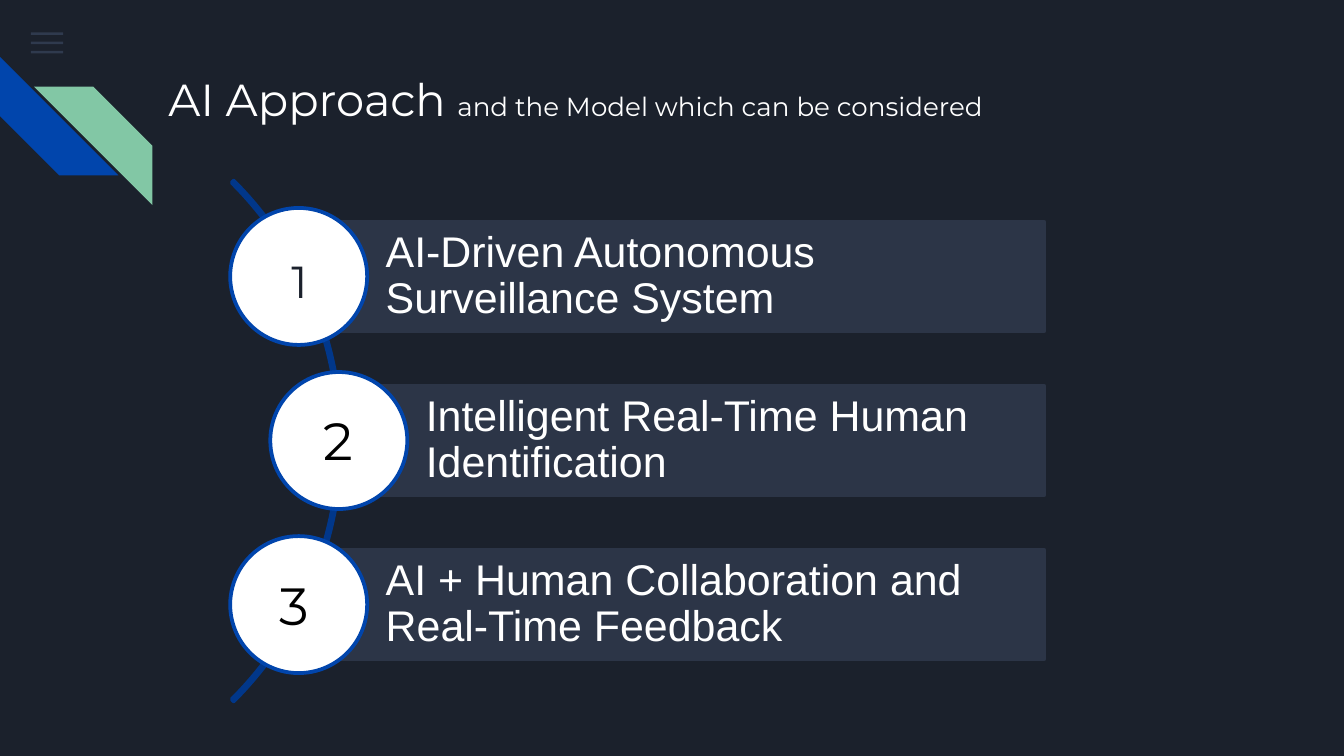
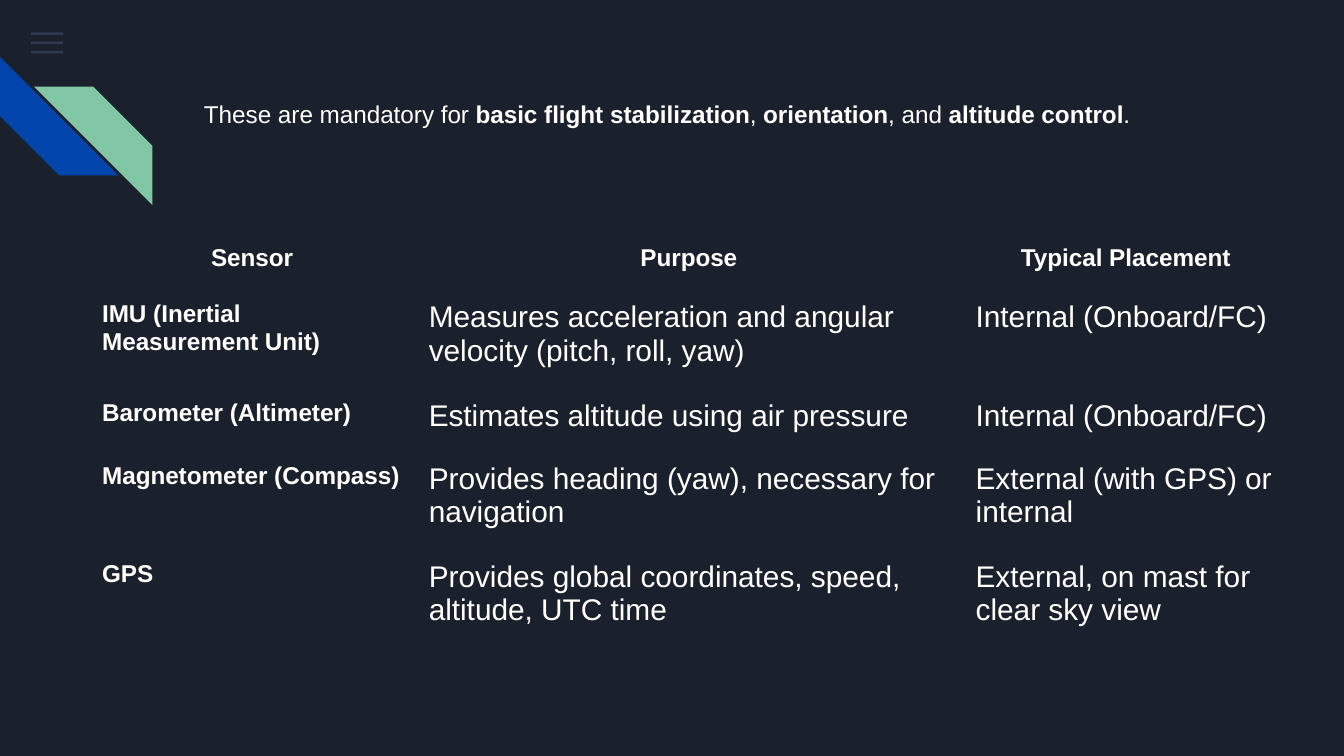
from pptx import Presentation
from pptx.util import Pt
from pptx.dml.color import RGBColor
from pptx.enum.shapes import MSO_SHAPE
from pptx.enum.text import MSO_ANCHOR, MSO_AUTO_SIZE, PP_ALIGN
from pptx.oxml.ns import qn
from lxml.etree import SubElement

# Content
TITLE = [("AI Approach ", 24), ("and the Model which can be considered", 14)]
STEPS = [  # text, bar left, number left, top and size
    ("AI-Driven Autonomous Surveillance System", 160, (149, 132.5, 24, "ink")),
    ("Intelligent Real-Time Human Identification", 181.5, (166.3, 215.3, 28, "black")),
    ("AI + Human Collaboration and Real-Time Feedback", 160, (142.5, 303.8, 28, "black")),
]
INTRO = [  # text, bold
    ("These are mandatory for ", False), ("basic flight stabilization", True),
    (", ", False), ("orientation", True), (", and ", False),
    ("altitude control", True), (".", False),
]
ROWS = [
    ("Sensor", "Purpose", "Typical Placement"),
    ("IMU (Inertial Measurement Unit)",
     "Measures acceleration and angular velocity (pitch, roll, yaw)",
     "Internal (Onboard/FC)"),
    ("Barometer (Altimeter)", "Estimates altitude using air pressure",
     "Internal (Onboard/FC)"),
    ("Magnetometer (Compass)", "Provides heading (yaw), necessary for navigation",
     "External (with GPS) or internal"),
    ("GPS", "Provides global coordinates, speed, altitude, UTC time",
     "External, on mast for clear sky view"),
]
WIDTHS = [175, 293, 175]

# Shared style
COLORS = {"ink": "1B212C", "white": "FFFFFF", "black": "000000", "menu": "55688B",
          "blue": "0145AC", "green": "82C7A5", "arc": "01378A", "bar": "2C3547"}
HEAD, BODY = "Montserrat", "Arial"
NO_GRID = "{2D5ABB26-0587-4C30-8999-92F81FD0307C}"


def color(name):
    return RGBColor.from_string(COLORS[name])


def style(font, size, name=BODY, hue="white", bold=False):
    font.size, font.name, font.bold = Pt(size), name, bold
    font.color.rgb = color(hue)


def inset(frame, left, other):
    frame.margin_left = Pt(left)
    frame.margin_top = frame.margin_right = frame.margin_bottom = Pt(other)


def draw(slide, kind, box, fill=None, line=None):
    shape = slide.shapes.add_shape(kind, *map(Pt, box))
    shape.shadow.inherit = False
    if fill:
        shape.fill.solid()
        shape.fill.fore_color.rgb = color(fill)
    else:
        shape.fill.background()
    if line:
        shape.line.color.rgb = color(line)
        shape.line.width = Pt(2)
    else:
        shape.line.fill.background()
    return shape


def new_slide(deck, layout):
    slide = deck.slides.add_slide(deck.slide_layouts[layout])
    # Menu icon
    for i in range(3):
        rule = draw(slide, MSO_SHAPE.RECTANGLE, (16.6, 17.3 + 5 * i, 17.3, 1.4), "menu")
        tint = rule.fill._xPr.find(".//" + qn("a:srgbClr"))
        SubElement(tint, qn("a:alpha"), val="36000")
    # Corner stripes
    for left, top, turn, fill in [(0, 30.4, 270, "blue"), (18.2, 46.4, 90, "green")]:
        stripe = draw(slide, MSO_SHAPE.DIAGONAL_STRIPE, (left, top, 63.5, 63.5), fill)
        stripe.rotation = turn
    return slide


def add_steps(deck):
    slide = new_slide(deck, 5)
    # Title
    title = slide.shapes.title
    title.left, title.top, title.width, title.height = map(Pt, (83, 31, 554, 72))
    frame = title.text_frame
    frame.auto_size, frame.vertical_anchor = MSO_AUTO_SIZE.NONE, MSO_ANCHOR.TOP
    inset(frame, 7.2, 7.2)
    para = frame.paragraphs[0]
    para.alignment = PP_ALIGN.LEFT
    for text, size in TITLE:
        run = para.add_run()
        run.text = text
        style(run.font, size, HEAD)

    # Arc behind the steps
    arc = draw(slide, MSO_SHAPE.BLOCK_ARC, (-211.5, 39, 394.5, 394.5), line="arc")
    for i, value in enumerate((189, 27, 0.004)):
        arc.adjustments[i] = value

    # Bars, each with a disc centred on its left side
    tall, disc, right = 58.6, 73.4, 559.5
    for i, (text, left, _) in enumerate(STEPS):
        top = 118.8 + 87.9 * i
        bar = draw(slide, MSO_SHAPE.RECTANGLE, (left, top, right - left, tall), "bar", "bar")
        frame = bar.text_frame
        frame.word_wrap, frame.vertical_anchor = True, MSO_ANCHOR.MIDDLE
        inset(frame, 46.6, 4.3)
        para = frame.paragraphs[0]
        para.text, para.alignment, para.line_spacing = text, PP_ALIGN.LEFT, 0.9
        style(para.font, 23)
        draw(slide, MSO_SHAPE.OVAL,
             (left - disc / 2, top + (tall - disc) / 2, disc, disc), "white", "blue")

    # Numbers
    for i, (_, _, (left, top, size, hue)) in enumerate(STEPS, 1):
        box = slide.shapes.add_textbox(Pt(left), Pt(top), Pt(35.3), Pt(size * 1.22 + 7.2))
        box.text_frame.word_wrap = True
        para = box.text_frame.paragraphs[0]
        para.text = str(i)
        style(para.font, size, HEAD, hue)


def add_sensors(deck):
    slide = new_slide(deck, 6)
    # Sensor table, whose rows grow to fit their text
    table = slide.shapes.add_table(len(ROWS), len(WIDTHS), Pt(47.5), Pt(121.7),
                                   Pt(sum(WIDTHS)), Pt(0)).table
    table.horz_banding = False
    table._tbl.tblPr.find(qn("a:tableStyleId")).text = NO_GRID
    for col, width in zip(table.columns, WIDTHS):
        col.width = Pt(width)
    for r, row in enumerate(ROWS):
        for c, text in enumerate(row):
            cell = table.cell(r, c)
            cell.fill.solid()
            cell.fill.fore_color.rgb = color("ink")
            inset(cell, 7.2, 7.2)
            para = cell.text_frame.paragraphs[0]
            para.text = text
            strong = r == 0 or c == 0
            style(para.font, 13 if strong else 16, bold=strong)
            if r == 0:
                para.alignment, para.line_spacing = PP_ALIGN.CENTER, 1.15

    # Intro line
    intro = draw(slide, MSO_SHAPE.RECTANGLE, (102.2, 12.5, 533.5, 94.3), "ink")
    frame = intro.text_frame
    frame.word_wrap, frame.vertical_anchor = True, MSO_ANCHOR.MIDDLE
    inset(frame, 7.2, 7.2)
    para = frame.paragraphs[0]
    para.alignment, para.line_spacing = PP_ALIGN.LEFT, 1.15
    for text, bold in INTRO:
        run = para.add_run()
        run.text = text
        style(run.font, 13, bold=bold)


def main():
    deck = Presentation()
    deck.slide_width, deck.slide_height = Pt(720), Pt(405)
    back = deck.slide_master.background.fill
    back.solid()
    back.fore_color.rgb = color("ink")
    add_steps(deck)
    add_sensors(deck)
    deck.save("out.pptx")


if __name__ == "__main__":
    main()
